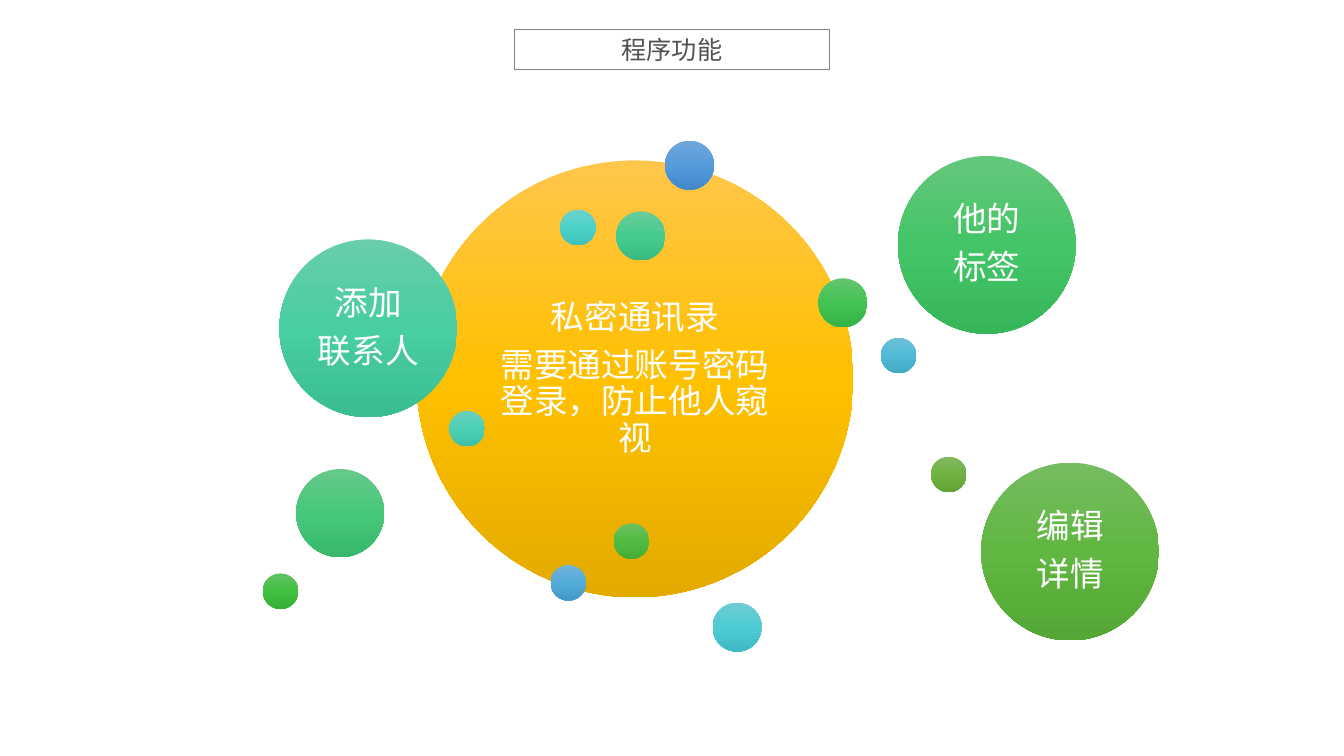
import copy

import pptx
import pptx.dml.color
import pptx.enum.shapes
import pptx.enum.text
import pptx.oxml.ns
import pptx.util
from lxml import etree

Pt = pptx.util.Pt
FONT = "Noto Sans CJK SC"
COLORS = {"white": "FFFFFF", "title": "525252", "frame": "808080"}
GRADIENTS = {
    "amber": ("FFC64B", "FFC000", "E3AB00"),
    "blue": ("71A6DB", "559BDB", "448ACA"),
    "sky": ("70B3D9", "53ABD9", "439AC8"),
    "cyan": ("6EBFD7", "51BBD7", "41AAC6"),
    "aqua": ("6DCCD4", "4FCBD4", "3FBAC4"),
    "turquoise": ("6BD2CC", "4DD2CA", "3DC1B9"),
    "teal": ("6AD0BB", "4BD0B6", "3CBFA6"),
    "mint": ("68CEAA", "49CDA2", "3ABD92"),
    "jade": ("67CC9A", "47CB8E", "39BB7F"),
    "emerald": ("66C98A", "46C87A", "37B86B"),
    "green": ("65C77C", "44C567", "36B658"),
    "clover": ("64C46F", "43C354", "35B346"),
    "grass": ("63C263", "41C041", "34B034"),
    "leaf": ("6CBF62", "51BC41", "45AC35"),
    "moss": ("76BC61", "61B741", "54A735"),
    "olive": ("81B861", "6FB242", "62A336"),
}
HUB, TOPIC, LARGE, MEDIUM, SMALL = 312, 127, 63, 35, 25.4
CIRCLES = [
    ("amber", 297.5, 114.6, HUB, ["私密通讯录", "需要通过账号密码登录，防止他人窥视"]),
    ("blue", 475, 100.5, MEDIUM, []),
    ("sky", 393.3, 403.6, SMALL, []),
    ("cyan", 629.2, 241.2, SMALL, []),
    ("aqua", 509, 430.4, MEDIUM, []),
    ("turquoise", 400.1, 149.8, SMALL, []),
    ("teal", 321, 293.5, SMALL, []),
    ("mint", 199.6, 171, TOPIC, ["添加", "联系人"]),
    ("jade", 440.2, 151, MEDIUM, []),
    ("emerald", 211.5, 335, LARGE, []),
    ("green", 641.4, 111.4, TOPIC, ["他的", "标签"]),
    ("clover", 584.6, 198.8, MEDIUM, []),
    ("grass", 187.7, 409.6, SMALL, []),
    ("leaf", 438.4, 373.8, SMALL, []),
    ("moss", 700.9, 330.5, TOPIC, ["编辑", "详情"]),
    ("olive", 665, 326.2, SMALL, []),
]


def rgb(name):
    return pptx.dml.color.RGBColor.from_string(COLORS[name])


def format_paragraph(paragraph, size, color):
    paragraph.alignment = pptx.enum.text.PP_ALIGN.CENTER
    for run in paragraph.runs:
        run.font.size = Pt(size)
        run.font.name = FONT
        run.font.color.rgb = rgb(color)
        properties = run.font._element
        east_asian = etree.Element(pptx.oxml.ns.qn("a:ea"), typeface=FONT)
        properties.find(pptx.oxml.ns.qn("a:latin")).addnext(east_asian)


def fill_gradient(shape, colors):
    shape.fill.gradient()
    shape.fill.gradient_angle = 270
    stop_list = shape._element.spPr.find(".//" + pptx.oxml.ns.qn("a:gsLst"))
    stop_list.insert(1, copy.deepcopy(stop_list[0]))
    for index, (stop, color) in enumerate(zip(shape.fill.gradient_stops, colors)):
        stop.position = index / 2
        stop.color.rgb = pptx.dml.color.RGBColor.from_string(color)


def add_title(slide, text):
    title = slide.shapes.title
    title.left, title.top, title.width, title.height = Pt(367.2), Pt(20.9), Pt(225.4), Pt(28.8)
    title.line.color.rgb = rgb("frame")
    title.line.width = Pt(0.75)
    text_frame = title.text_frame
    text_frame.text = text
    text_frame.auto_size = pptx.enum.text.MSO_AUTO_SIZE.NONE
    text_frame.vertical_anchor = pptx.enum.text.MSO_ANCHOR.MIDDLE
    format_paragraph(text_frame.paragraphs[0], 18, "title")


def add_circle(slide, gradient, left, top, diameter, lines):
    shape = slide.shapes.add_shape(
        pptx.enum.shapes.MSO_SHAPE.OVAL, Pt(left), Pt(top), Pt(diameter), Pt(diameter))
    shape.shadow.inherit = False
    shape.line.fill.background()
    fill_gradient(shape, GRADIENTS[gradient])
    if not lines:
        return
    text_frame = shape.text_frame
    text_frame.text = "\n".join(lines)
    text_frame.word_wrap = True
    text_frame.vertical_anchor = pptx.enum.text.MSO_ANCHOR.MIDDLE
    text_frame.margin_left = text_frame.margin_right = Pt(7.2)
    text_frame.margin_top = text_frame.margin_bottom = Pt(7.2)
    for paragraph in text_frame.paragraphs:
        paragraph.line_spacing = 0.9
        paragraph.space_after = Pt(8.4)
        format_paragraph(paragraph, 24, "white")


def main():
    presentation = pptx.Presentation()
    presentation.slide_width = Pt(960)
    presentation.slide_height = Pt(540)
    slide = presentation.slides.add_slide(presentation.slide_layouts[5])
    add_title(slide, "程序功能")
    for circle in CIRCLES:
        add_circle(slide, *circle)
    presentation.save("out.pptx")


if __name__ == "__main__":
    main()
